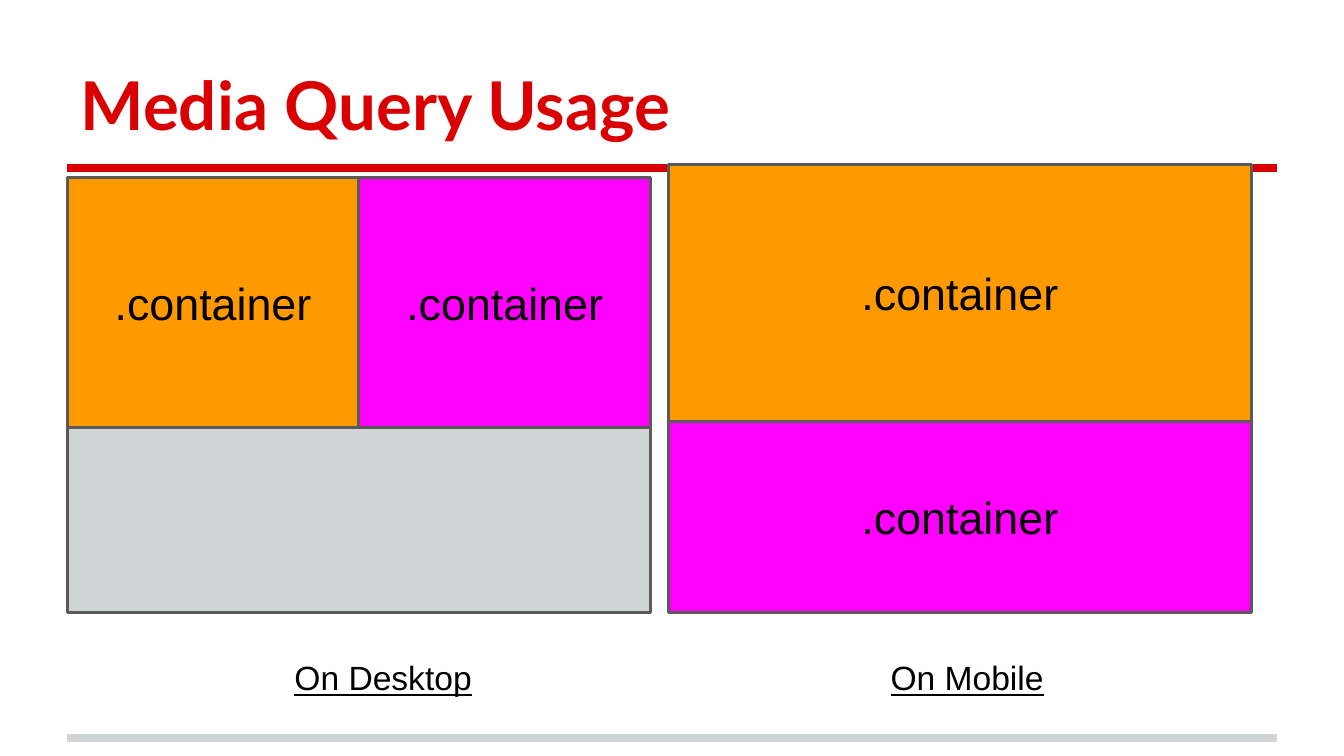
import pptx
import pptx.dml.color
import pptx.enum.shapes
import pptx.enum.text
import pptx.oxml.ns
import pptx.util
from lxml import etree

Pt = pptx.util.Pt
Anchor = pptx.enum.text.MSO_ANCHOR
Align = pptx.enum.text.PP_ALIGN

RED = "DA0002"
GREY = "CFD4D4"
OUTLINE = "5B595A"
ORANGE = "FF9900"
MAGENTA = "FF00FF"
BLACK = "000000"


def color(hex_string):
    return pptx.dml.color.RGBColor.from_string(hex_string)


def write_text(shape, text, size=24, font="Arial", fill=BLACK, bold=False,
               underline=False, align=Align.LEFT, anchor=Anchor.TOP):
    frame = shape.text_frame
    frame.word_wrap = True
    frame.auto_size = pptx.enum.text.MSO_AUTO_SIZE.NONE
    frame.vertical_anchor = anchor
    frame.margin_left = frame.margin_right = Pt(7.2)
    frame.margin_top = frame.margin_bottom = Pt(7.2)
    paragraph = frame.paragraphs[0]
    paragraph.alignment = align
    run = paragraph.add_run()
    run.text = text
    run.font.size = Pt(size)
    run.font.name = font
    run.font.bold = bold
    run.font.underline = underline
    run.font.color.rgb = color(fill)


def add_rule(slide, left, top, width, line_color):
    rule = slide.shapes.add_connector(
        pptx.enum.shapes.MSO_CONNECTOR.STRAIGHT,
        Pt(left), Pt(top), Pt(left + width), Pt(top))
    rule.line.width = Pt(4)
    rule.line.color.rgb = color(line_color)
    properties = rule._element.spPr
    etree.SubElement(properties, pptx.oxml.ns.qn("a:effectLst"))


def add_block(slide, left, top, width, height, fill, text=None):
    block = slide.shapes.add_shape(
        pptx.enum.shapes.MSO_SHAPE.RECTANGLE,
        Pt(left), Pt(top), Pt(width), Pt(height))
    block.shadow.inherit = False
    block.fill.solid()
    block.fill.fore_color.rgb = color(fill)
    block.line.color.rgb = color(OUTLINE)
    block.line.width = Pt(1.5)
    if text:
        write_text(block, text, align=Align.CENTER, anchor=Anchor.MIDDLE)


def add_title(slide, left, top, width, height):
    title = slide.shapes.title
    title.left, title.top = Pt(left), Pt(top)
    title.width, title.height = Pt(width), Pt(height)
    write_text(title, "Media Query Usage", size=36, font="Lato", fill=RED,
               bold=True, anchor=Anchor.BOTTOM)


def add_desktop(slide, left, top, width, height):
    """Two containers side by side above an empty page area."""
    page_offset, container_height = 5, 134
    add_block(slide, left, top + page_offset, width, height - page_offset, GREY)
    for column, fill in enumerate((ORANGE, MAGENTA)):
        add_block(slide, left + column * width / 2, top, width / 2,
                  container_height, fill, ".container")


def add_mobile(slide, left, top, width, height):
    """Two containers stacked over the full width."""
    first_height = 137.5
    add_block(slide, left, top, width, first_height, ORANGE, ".container")
    add_block(slide, left, top + first_height, width, height - first_height,
              MAGENTA, ".container")


def add_caption(slide, left, top, width, height, text):
    caption = slide.shapes.add_textbox(Pt(left), Pt(top), Pt(width), Pt(height))
    write_text(caption, text, size=18, underline=True)


def main():
    presentation = pptx.Presentation()
    presentation.slide_width = Pt(720)
    presentation.slide_height = Pt(405)
    slide = presentation.slides.add_slide(presentation.slide_layouts[5])

    margin, content_width = 36, 648
    panel_width, panel_bottom = 312.5, 328.3
    desktop_top, mobile_top = 95, 88.2

    add_rule(slide, margin, 395.5, content_width, GREY)
    add_rule(slide, margin, 90, content_width, RED)
    add_title(slide, margin, 16.5, content_width, 67.7)
    add_desktop(slide, margin, desktop_top, panel_width,
                panel_bottom - desktop_top)
    add_mobile(slide, 358, mobile_top, panel_width, panel_bottom - mobile_top)
    for left, text in ((150.7, "On Desktop"), (470, "On Mobile")):
        add_caption(slide, left, 345, 177, 36, text)

    presentation.save("out.pptx")


if __name__ == "__main__":
    main()
